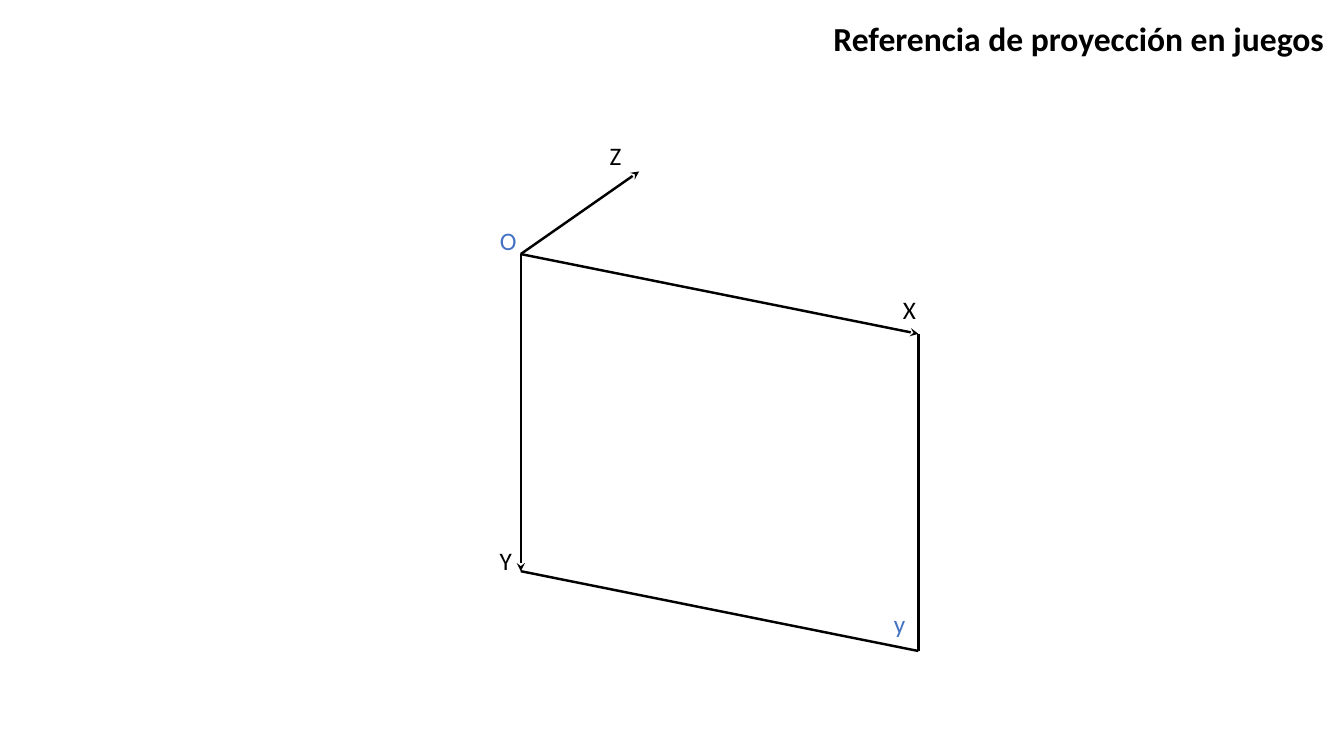
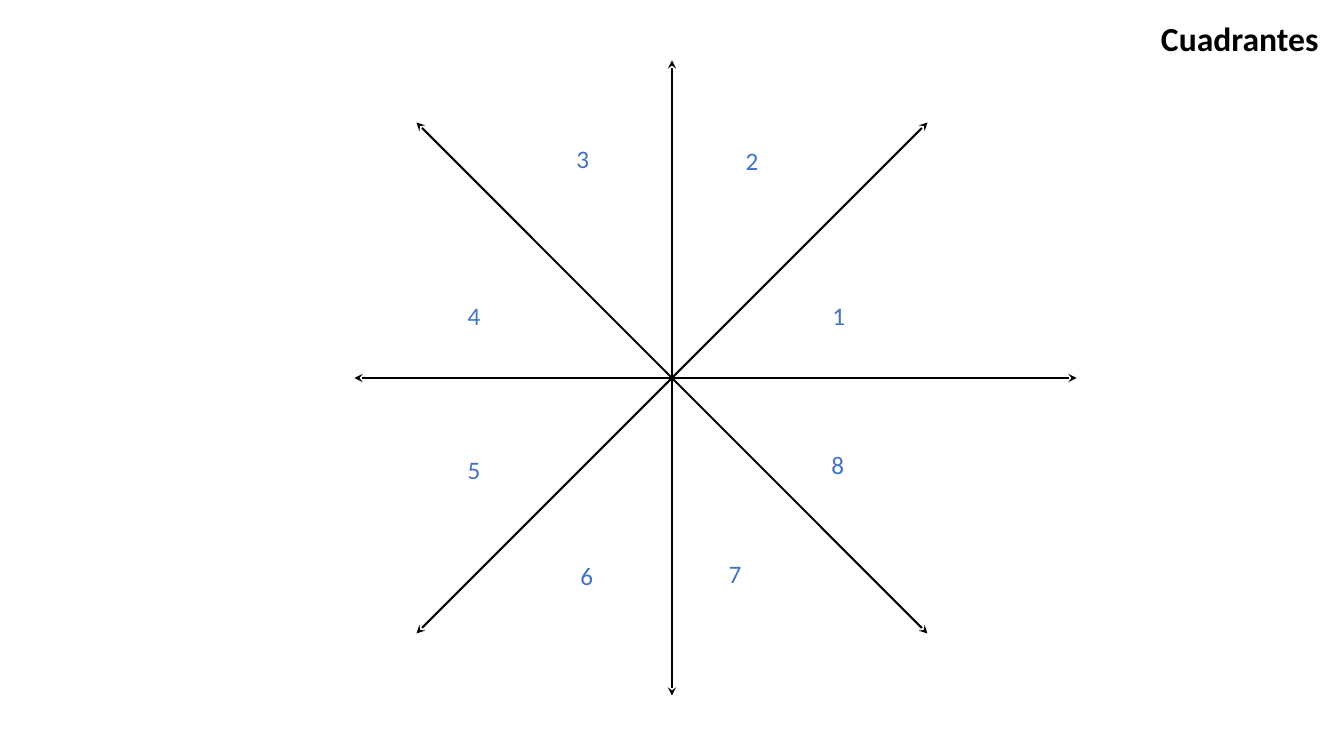
from pptx import Presentation
from pptx.dml.color import RGBColor
from pptx.enum import shapes, text
from pptx.oxml.ns import qn
from pptx.util import Pt
from lxml import etree

FONT = "Calibri"
BLACK, BLUE = "000000", "4472C4"
BOX = 28, 29

# Projection frame: the four corners and the tip of the depth axis
O, X, Y, Z = (372, 181.5), (656, 238.5), (372, 408), (456.5, 122.5)
CORNER = X[0], X[1] + Y[1] - O[1]
EDGES = [(O, Y, True), (O, X, True), (O, Z, True), (X, CORNER, False), (Y, CORNER, False)]
MARKS = [
    ("O", 350, 157.7, BLUE),
    ("X", 637.9, 206.6, BLACK),
    ("Y", 349.9, 385.9, BLACK),
    ("Z", 428.4, 96.5, BLACK),
    ("y", 631.4, 431.3, BLUE),
]

# Octants: axes run through the centre, as offsets of their two ends
MID = 480, 270
TALL, DIAG, EAST, WEST = 226.8, 182.5, 289, -226.8
AXES = [
    ((0, -TALL), (0, TALL)),
    ((EAST, 0), (WEST, 0)),
    ((DIAG, DIAG), (-DIAG, -DIAG)),
    ((DIAG, -DIAG), (-DIAG, DIAG)),
]
OCTANTS = [
    (587.5, 211), (525.6, 100), (404.6, 98.6), (326.9, 211),
    (326.9, 321.1), (407.5, 396.7), (513.4, 395.3), (586.8, 317.5),
]


def rgb(code):
    return RGBColor.from_string(code)


def label(slide, words, x, y, color=BLUE, size=18, bold=False, box=BOX):
    shape = slide.shapes.add_textbox(*map(Pt, (x, y, *box)))
    frame = shape.text_frame
    frame.text = words
    frame.word_wrap = False
    frame.auto_size = text.MSO_AUTO_SIZE.SHAPE_TO_FIT_TEXT
    para = frame.paragraphs[0]
    para.alignment = text.PP_ALIGN.LEFT
    font = para.runs[0].font
    font.name, font.size, font.bold = FONT, Pt(size), bold
    font.color.rgb = rgb(color)


def line(slide, start, end, width, ends=()):
    """Draw a black line; ends lists headEnd (start) and tailEnd (end) arrows."""
    ink = slide.shapes.add_connector(
        shapes.MSO_CONNECTOR.STRAIGHT, *map(Pt, (*start, *end)))
    ink.line.width = Pt(width)
    ink.line.color.rgb = rgb(BLACK)
    props = ink.line._get_or_add_ln()
    for name in ends:
        etree.SubElement(props, qn("a:" + name), type="stealth")
    etree.SubElement(ink._element.spPr, qn("a:effectLst"))


def add_slide(deck, title, x, width):
    slide = deck.slides.add_slide(deck.slide_layouts[6])
    label(slide, title, x, 9.4, BLACK, 24, True, (width, 36))
    return slide


def add_frame(deck):
    slide = add_slide(deck, "Referencia de proyección en juegos", 588.2, 368.6)
    for start, end, arrow in EDGES:
        line(slide, start, end, 1.75, ["tailEnd"] if arrow else [])
    for mark in MARKS:
        label(slide, *mark)


def add_octants(deck):
    slide = add_slide(deck, "Cuadrantes", 822.2, 128.2)
    for axis in AXES:
        start, end = [(MID[0] + dx, MID[1] + dy) for dx, dy in axis]
        line(slide, start, end, 1.5, ["headEnd", "tailEnd"])
    for num, (x, y) in enumerate(OCTANTS, 1):
        label(slide, str(num), x, y)


def main():
    deck = Presentation()
    deck.slide_width, deck.slide_height = Pt(960), Pt(540)
    add_frame(deck)
    add_octants(deck)
    deck.save("out.pptx")


if __name__ == "__main__":
    main()
